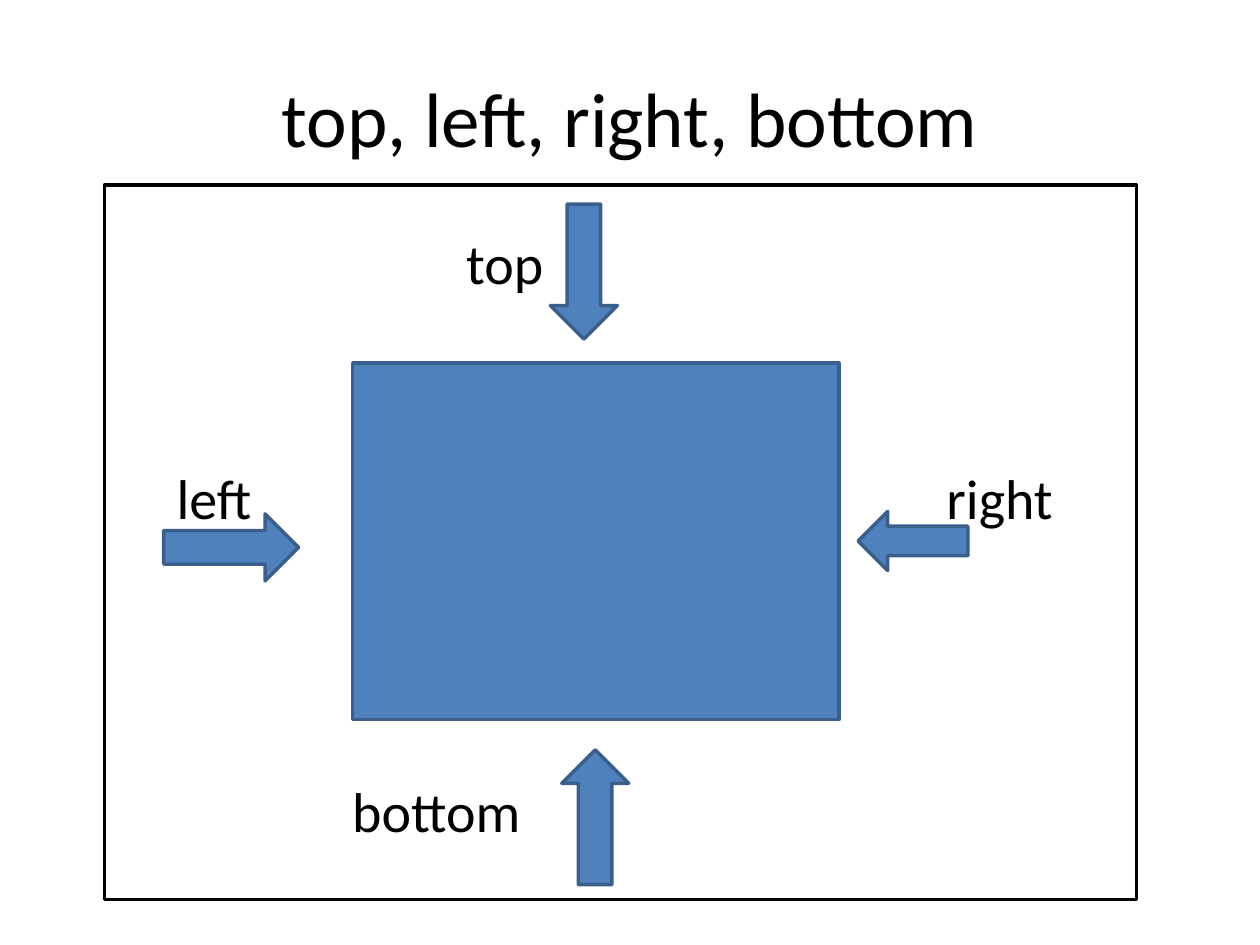
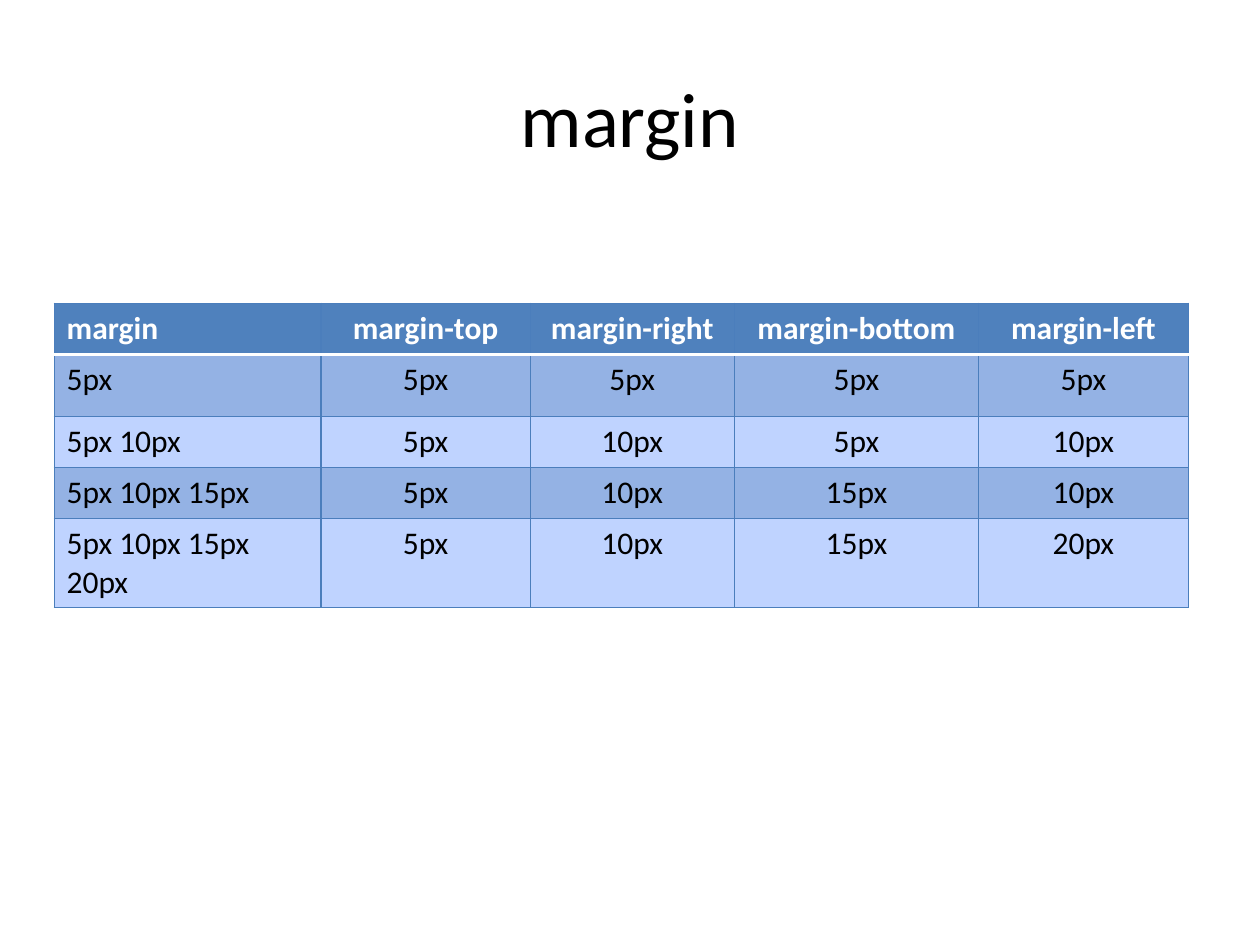
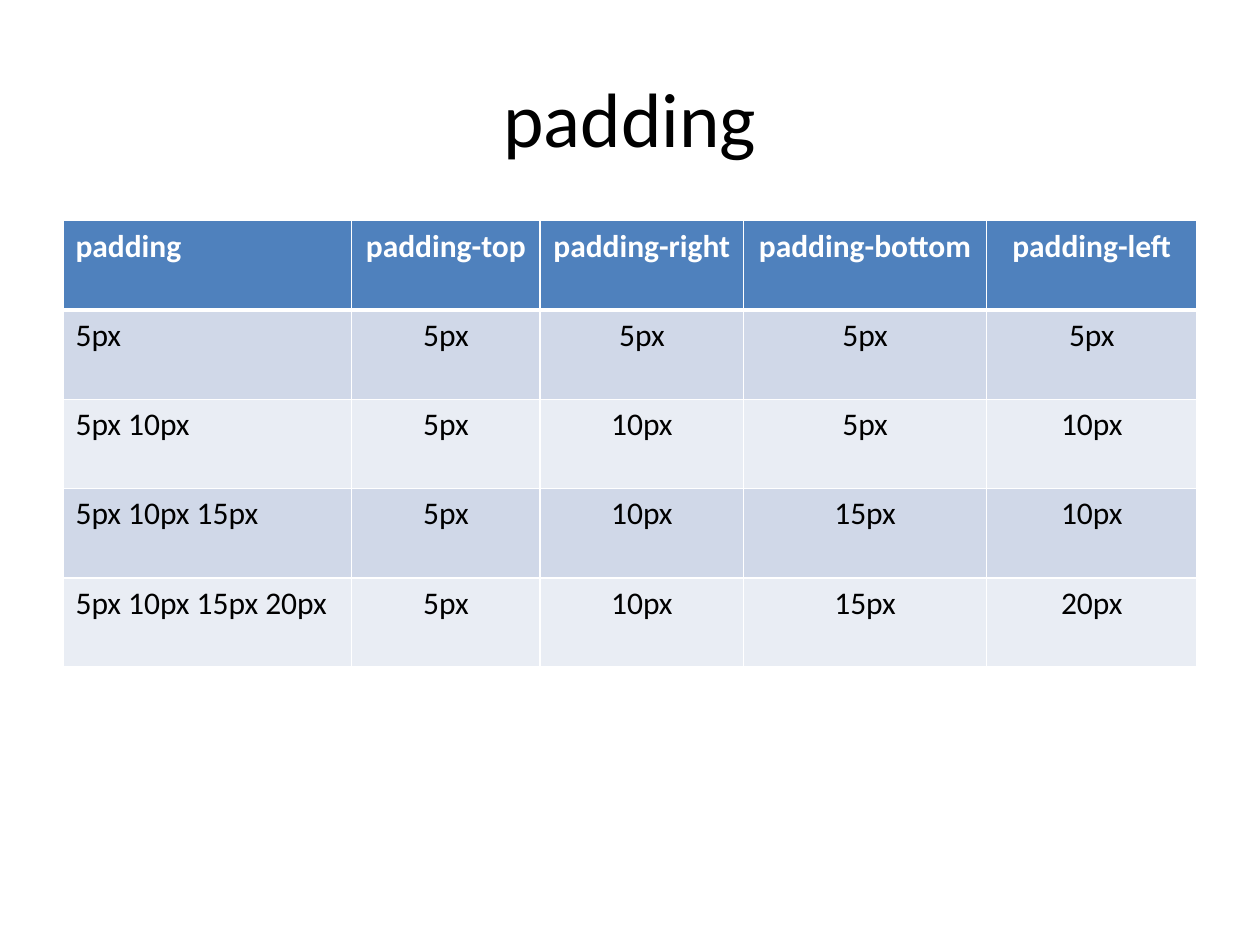
import pptx
import pptx.util
import pptx.dml.color
import pptx.enum.shapes
import pptx.enum.text
import pptx.oxml.ns
from lxml import etree

Cm, Pt = pptx.util.Cm, pptx.util.Pt
SHAPE = pptx.enum.shapes.MSO_SHAPE
ALIGN = pptx.enum.text.PP_ALIGN
ANCHOR = pptx.enum.text.MSO_ANCHOR

# Shared look
FONT = "Calibri"
BLACK, WHITE = "000000", "FFFFFF"
BLUE, BLUE_EDGE = "4F81BD", "3A5F8C"

# Values per shorthand: top, right, bottom, left
SIDES = ["top", "right", "bottom", "left"]
SHORTHANDS = [
    ("5px", ["5px", "5px", "5px", "5px"]),
    ("5px 10px", ["5px", "10px", "5px", "10px"]),
    ("5px 10px 15px", ["5px", "10px", "15px", "10px"]),
    ("5px 10px 15px 20px", ["5px", "10px", "15px", "20px"]),
]


def rgb(value):
    return pptx.dml.color.RGBColor.from_string(value)


def write(frame, text, size=18, color=BLACK, bold=False, align=ALIGN.LEFT):
    paragraph = frame.paragraphs[0]
    paragraph.alignment = align
    run = paragraph.add_run()
    run.text = text
    run.font.name = FONT
    run.font.size = Pt(size)
    run.font.bold = bold
    run.font.color.rgb = rgb(color)


def add_text(slide, text, left, top, width, height, anchor=ANCHOR.TOP, **style):
    frame = slide.shapes.add_textbox(Cm(left), Cm(top), Cm(width), Cm(height)).text_frame
    frame.word_wrap = True
    frame.vertical_anchor = anchor
    frame.margin_left = frame.margin_right = 0
    frame.margin_top = frame.margin_bottom = 0
    write(frame, text, **style)


def add_box(slide, kind, left, top, width, height, fill=BLUE, line=BLUE_EDGE, turn=0):
    box = slide.shapes.add_shape(kind, Cm(left), Cm(top), Cm(width), Cm(height))
    box.shadow.inherit = False
    box.fill.solid()
    box.fill.fore_color.rgb = rgb(fill)
    box.line.color.rgb = rgb(line)
    box.line.width = Pt(2)
    box.rotation = turn


def add_titled_slide(deck, title):
    slide = deck.slides.add_slide(deck.slide_layouts[6])
    add_text(slide, title, 1.27, 0.76, 22.86, 3.18, anchor=ANCHOR.MIDDLE,
             size=44, align=ALIGN.CENTER)
    return slide


def set_borders(cell, **edges):
    """Draw the edges L, R, T and B, each given as (colour, points)."""
    properties = cell._tc.get_or_add_tcPr()
    for side in "LRTB":
        color, points = edges[side]
        line = etree.SubElement(properties, pptx.oxml.ns.qn("a:ln" + side), w=str(Pt(points)))
        fill = etree.SubElement(line, pptx.oxml.ns.qn("a:solidFill"))
        etree.SubElement(fill, pptx.oxml.ns.qn("a:srgbClr"), val=color)


def add_shorthand_table(slide, name, left, top, widths, heights, bands, grid, header_rule):
    header = (name, [f"{name}-{side}" for side in SIDES])
    rows = [header] + SHORTHANDS
    table = slide.shapes.add_table(len(rows), len(widths), Cm(left), Cm(top),
                                   Cm(sum(widths)), Cm(sum(heights))).table
    table.horz_banding = False
    for column, width in zip(table.columns, widths):
        column.width = Cm(width)
    for r, (shorthand, values) in enumerate(rows):
        table.rows[r].height = Cm(heights[r])
        is_header = r == 0
        for c, text in enumerate([shorthand] + values):
            cell = table.cell(r, c)
            set_borders(cell, L=grid, R=grid,
                        T=header_rule if r == 1 else grid,
                        B=header_rule if is_header else grid)
            cell.fill.solid()
            cell.fill.fore_color.rgb = rgb(BLUE if is_header else bands[(r - 1) % 2])
            write(cell.text_frame, text, bold=is_header,
                  color=WHITE if is_header else BLACK,
                  align=ALIGN.CENTER if c else ALIGN.LEFT)


def build_positions(deck):
    slide = deck.slides.add_slide(deck.slide_layouts[6])
    # Outer container, then the title over it
    add_box(slide, SHAPE.RECTANGLE, 2.11, 3.73, 20.8, 14.4, fill=WHITE, line=BLACK)
    add_text(slide, "top, left, right, bottom", 1.27, 0.76, 22.86, 3.18,
             anchor=ANCHOR.MIDDLE, size=44, align=ALIGN.CENTER)
    # Side labels sit on a common line grid
    for label, left, line in [("top", 9.4, 0), ("left", 3.56, 3),
                              ("right", 19.08, 3), ("bottom", 7.1, 7)]:
        add_text(slide, label, left, 4.6 + 1.58 * line, 4, 1.4, size=32)
    # Positioned element and the arrows pushing on its sides
    add_box(slide, SHAPE.RECTANGLE, 7.11, 7.32, 9.8, 7.19)
    for left, top, width, height, turn in [
        (17.3, 10.31, 2.21, 1.19, 180),
        (3.3, 10.36, 2.72, 1.35, 0),
        (10.41, 4.8, 2.72, 1.35, 90),
        (10.64, 15.8, 2.72, 1.35, 270),
    ]:
        add_box(slide, SHAPE.RIGHT_ARROW, left, top, width, height, turn=turn)


def main():
    deck = pptx.Presentation()
    deck.slide_width, deck.slide_height = Cm(25.4), Cm(19.05)

    build_positions(deck)

    add_shorthand_table(
        add_titled_slide(deck, "margin"), "margin", 1.09, 6.11,
        widths=[5.38, 4.22, 4.11, 4.93, 4.22], heights=[1.03, 1.25, 1.03, 1.03, 1.8],
        bands=["94B2E4", "BFD3FF"], grid=("4B7EBC", 0.75), header_rule=(WHITE, 2))

    add_shorthand_table(
        add_titled_slide(deck, "padding"), "padding", 1.27, 4.45,
        widths=[5.82, 3.8, 4.1, 4.9, 4.24], heights=[1.8] * 5,
        bands=["D0D8E8", "E9EDF4"], grid=(WHITE, 1), header_rule=(WHITE, 3))

    deck.save("out.pptx")


main()
